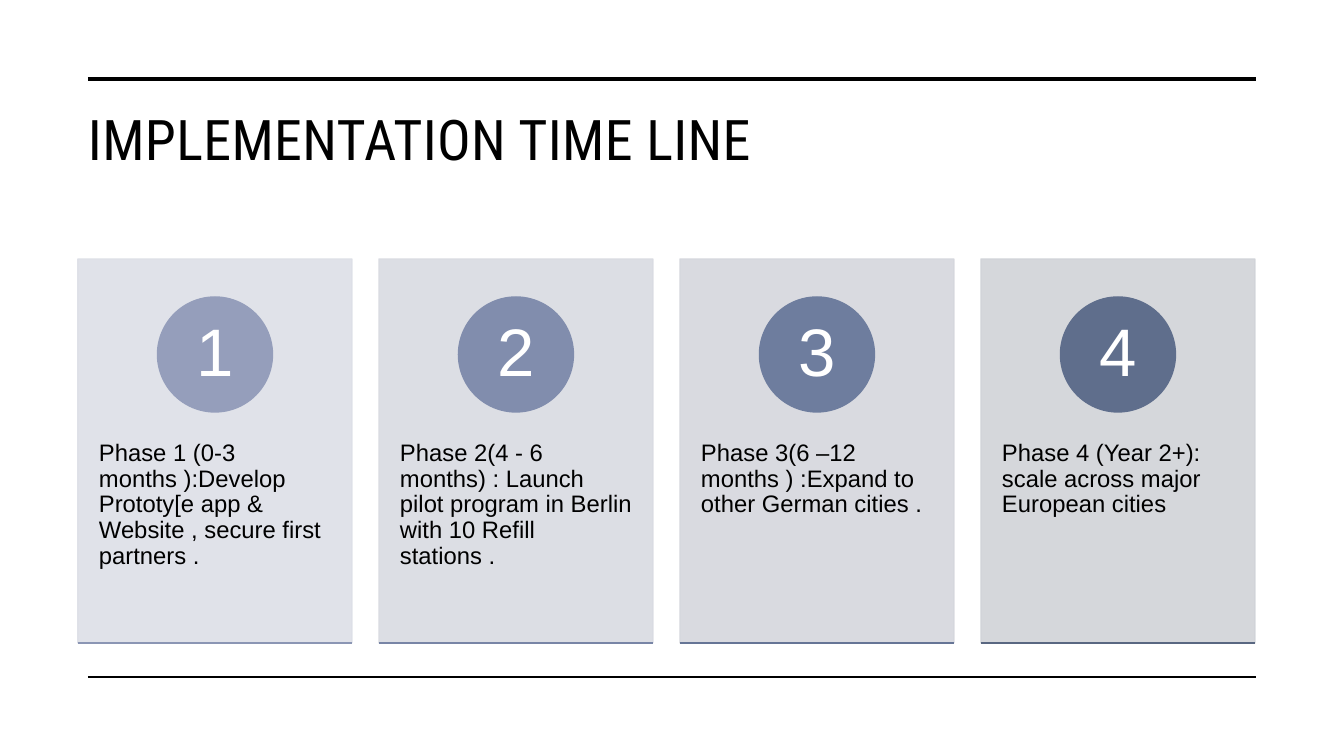
from pptx import Presentation
from pptx.dml.color import RGBColor
from pptx.enum.shapes import MSO_CONNECTOR, MSO_SHAPE
from pptx.enum.text import MSO_ANCHOR, PP_ALIGN
from pptx.oxml.ns import qn
from pptx.util import Pt
from lxml import etree

RECT, OVAL = MSO_SHAPE.RECTANGLE, MSO_SHAPE.OVAL
LINE = MSO_CONNECTOR.STRAIGHT
TOP, MID = MSO_ANCHOR.TOP, MSO_ANCHOR.MIDDLE
LEFT, MIDST = PP_ALIGN.LEFT, PP_ALIGN.CENTER

TITLE = "IMPLEMENTATION TIME LINE"
PHASES = [
    ("Phase 1 (0-3 months ):Develop Prototy[e app & Website , secure first partners .",
     "DDDFE7", "959EBB", "8B96B4"),
    ("Phase 2(4 - 6 months) : Launch pilot program in Berlin with 10 Refill stations .",
     "D9DBE2", "818DAD", "7885A6"),
    ("Phase 3(6 –12 months ) :Expand to other German cities .",
     "D5D7DD", "6E7D9E", "667596"),
    ("Phase 4 (Year 2+): scale across major European cities",
     "D1D3D8", "5F6E8C", "596781"),
]
RULES = [(79, 3.5), (677, 1)]
THEME = {
    "ink": "000000", "light": "FFFFFF", "head": "Roboto Condensed", "body": "Arial",
    "title": 40, "text": 17, "digit": 48, "alpha": 90,
}
CARD = {"x": 78, "y": 259, "w": 274, "h": 384, "step": 301}
DISC, DISCY = 115, 297
TEXTY, TEXTH = 405, 230


def px(n):
    return round(n * 914400 / 100.8)


def box(*dims):
    return [px(n) for n in dims]


def rgb(code):
    return RGBColor.from_string(code)


def write(shape, text, font, size, color, inset, anchor=TOP, align=LEFT, lead=0.9):
    frame = shape.text_frame
    side, edge = box(*inset)
    look = {"word_wrap": True, "vertical_anchor": anchor, "margin_left": side,
            "margin_right": side, "margin_top": edge, "margin_bottom": edge}
    for key, val in look.items():
        setattr(frame, key, val)
    para = frame.paragraphs[0]
    para.alignment, para.line_spacing = align, lead
    run = para.add_run()
    run.text = text
    for key, val in {"name": font, "size": Pt(size)}.items():
        setattr(run.font, key, val)
    run.font.color.rgb = rgb(color)
    return run


def draw(kind, dims, color, alpha=100):
    shape = slide.shapes.add_shape(kind, *box(*dims))
    shape.shadow.inherit = False
    shape.fill.solid()
    shape.fill.fore_color.rgb = rgb(color)
    shape.line.color.rgb = rgb(color)
    shape.line.width = Pt(1)
    if alpha < 100:
        for node in shape.element.spPr.iter(qn("a:srgbClr")):
            etree.SubElement(node, qn("a:alpha")).set("val", str(alpha * 1000))
    return shape


def rule(x, y, end, color, width):
    line = slide.shapes.add_connector(LINE, *box(x, y, end, y))
    line.line.color.rgb = rgb(color)
    line.line.width = Pt(width)
    etree.SubElement(line.element.spPr, qn("a:effectLst"))


deck = Presentation()
deck.slide_width, deck.slide_height = box(1344, 756)
slide = deck.slides.add_slide(deck.slide_layouts[6])

head = slide.shapes.add_textbox(*box(78, 100, 1178, 127))
run = write(head, TITLE, THEME["head"], THEME["title"], THEME["ink"], (10, 5), lead=1.0)
run.font._element.set("spc", "30")
for y, width in RULES:
    rule(88, y, 1256, THEME["ink"], width)

for i, (text, pale, tone, base) in enumerate(PHASES):
    x, w = CARD["x"] + i * CARD["step"], CARD["w"]
    draw(RECT, (x, CARD["y"], w, CARD["h"]), pale, THEME["alpha"])
    note = slide.shapes.add_textbox(*box(x, TEXTY, w, TEXTH))
    write(note, text, THEME["body"], THEME["text"], THEME["ink"], (21, 36))
    disc = draw(OVAL, (x + (w - DISC) / 2, DISCY, DISC, DISC), tone)
    write(disc, str(i + 1), THEME["body"], THEME["digit"], THEME["light"], (9, 1), MID, MIDST)
    rule(x, CARD["y"] + CARD["h"], x + w, base, 1)

deck.save("out.pptx")
